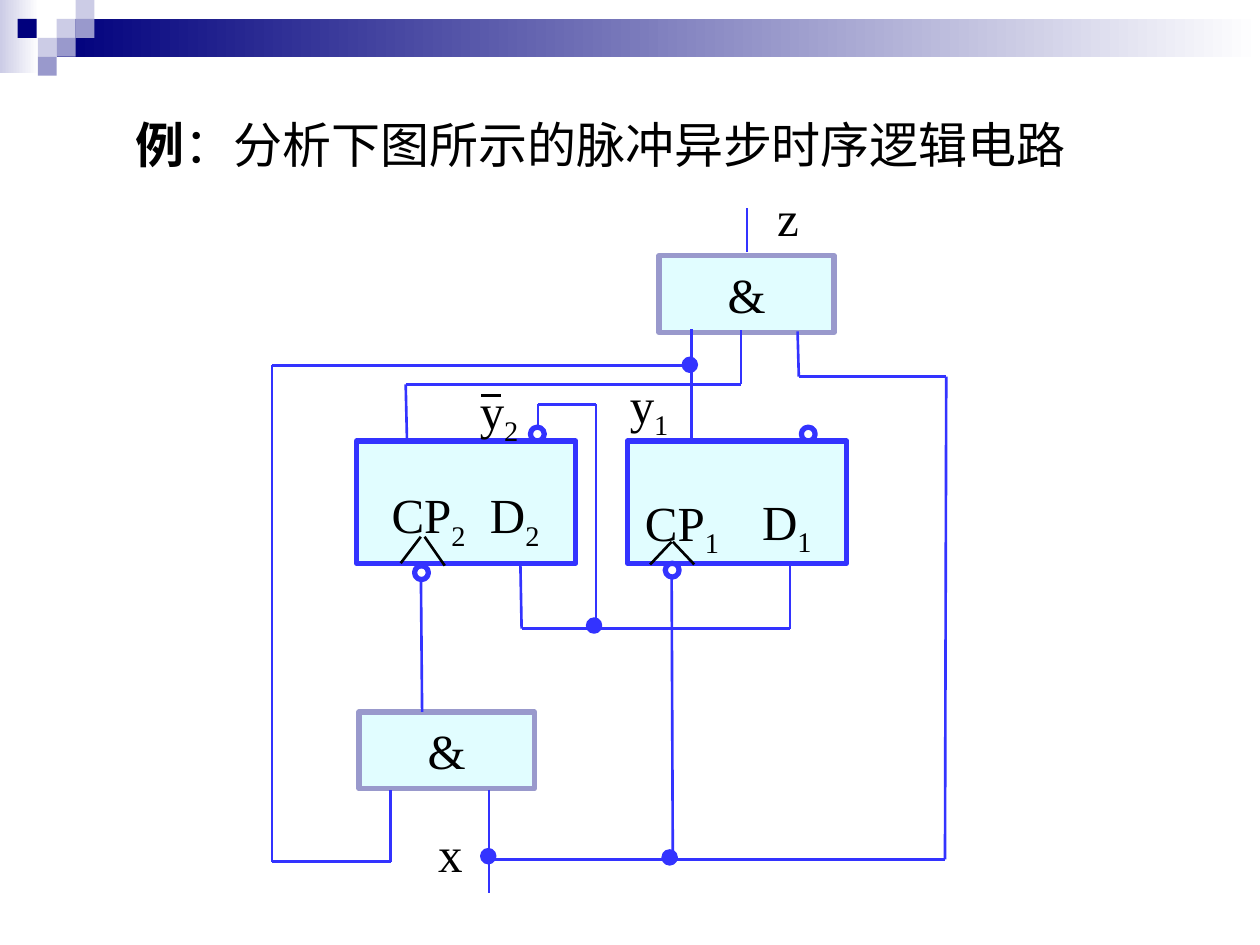
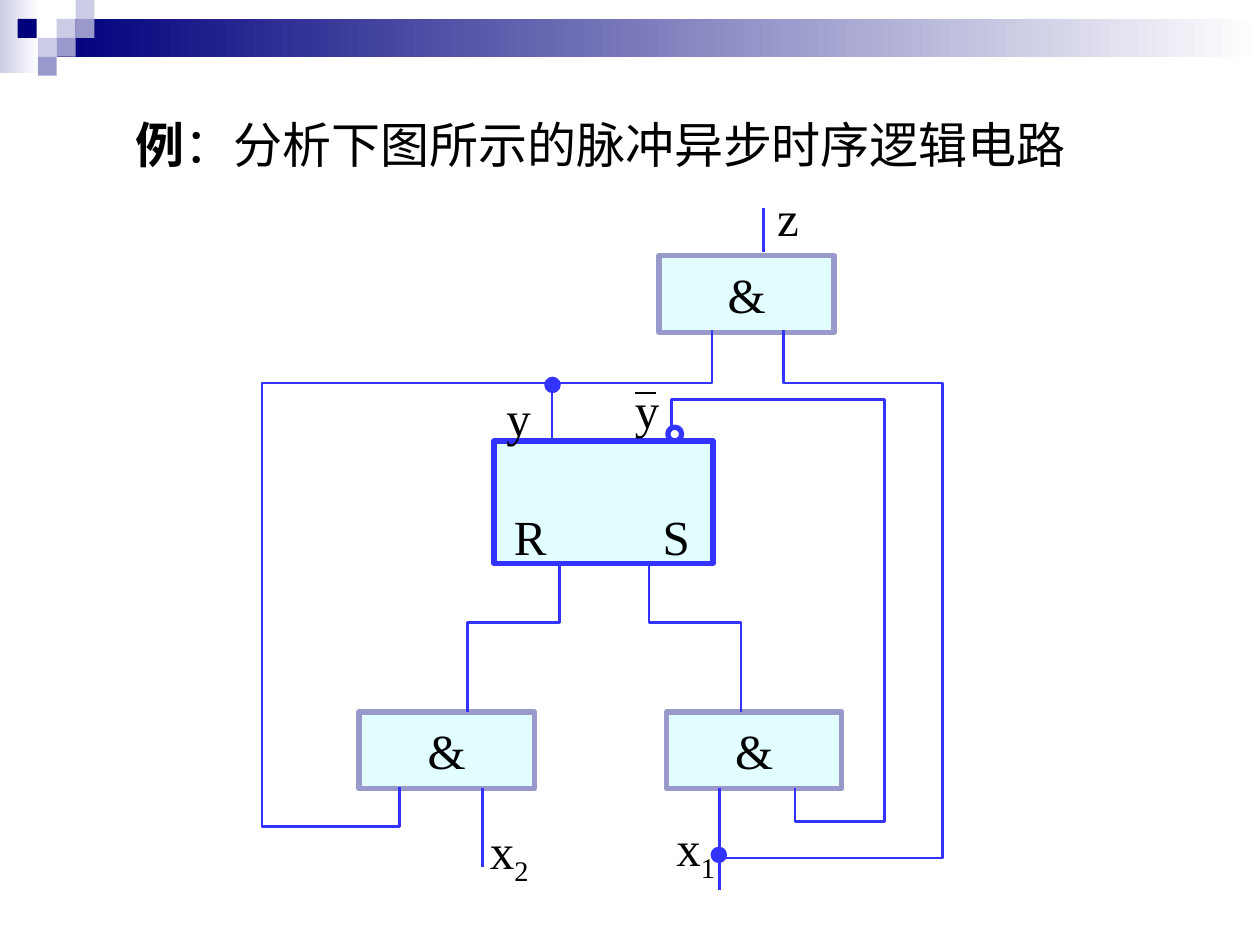
import itertools

import pptx
import pptx.dml.color
import pptx.enum.shapes
import pptx.enum.text
import pptx.oxml.ns
import pptx.util
from lxml import etree

Inches = pptx.util.Inches
RGBColor = pptx.dml.color.RGBColor
SHAPE = pptx.enum.shapes.MSO_SHAPE

BLACK = RGBColor(0x00, 0x00, 0x00)
WHITE = RGBColor(0xFF, 0xFF, 0xFF)
NAVY = RGBColor(0x00, 0x00, 0x7D)
LAVENDER = RGBColor(0x99, 0x99, 0xCC)
PALE_LAVENDER = RGBColor(0xCC, 0xCC, 0xE6)
WIRE_BLUE = RGBColor(0x33, 0x33, 0xFF)
PALE_CYAN = RGBColor(0xE1, 0xFD, 0xFF)

FONT_FORMAT = {"name": "Times New Roman", "size": pptx.util.Pt(28)}
FRAME_FORMAT = {"word_wrap": False, "auto_size": pptx.enum.text.MSO_AUTO_SIZE.SHAPE_TO_FIT_TEXT}

# Header: gradient bands and a mosaic of small squares
BANDS = [((0, 0, 0.31, 0.58), PALE_LAVENDER), ((0.45, 0.15, 9.55, 0.3), NAVY)]
SQUARE = 0.15
SQUARES = [
    (0.45, 0.15, PALE_LAVENDER), (0.6, 0, PALE_LAVENDER), (0.6, 0.15, LAVENDER),
    (0.3, 0.3, PALE_LAVENDER), (0.14, 0.15, NAVY), (0.45, 0.3, LAVENDER), (0.3, 0.45, LAVENDER),
]
TITLE = [("例", {"bold": True}), ("：分析下图所示的脉冲异步时序逻辑电路", {"bold": False})]

GATE_SIZE = (1.39, 0.61)
FLIP_FLOP_SIZE = (1.74, 0.97)
NODE = 0.11

# Labels are (left, top, width, letters, subscript)
CIRCUITS = [
    {
        "gates": [(5.23, 2.03), (2.85, 5.65)],
        "flip_flops": [(2.83, 3.5), (4.98, 3.5)],
        "traces": [],
        "wires": [
            [(5.93, 2), (5.93, 1.65)],
            [(3.88, 6.27), (3.88, 7.09)],
            [(5.49, 3.51), (5.49, 2.61)],
            [(3.34, 4.48), (3.35, 5.65)],
            [(3.86, 6.82), (5.34, 6.82), (7.5, 6.82), (7.51, 2.99), (6.34, 2.99), (6.33, 2.63)],
            [(5.34, 6.82), (5.33, 4.47)],
            [(4.27, 3.4), (4.27, 3.21), (4.73, 3.21), (4.73, 4.98)],
            [(4.13, 4.47), (4.14, 4.99), (6.27, 4.99), (6.27, 4.45)],
            [(5.48, 2.9), (2.16, 2.9), (2.16, 6.84), (3.1, 6.84), (3.1, 6.27)],
            [(3.23, 3.49), (3.22, 3.05), (5.88, 3.05), (5.88, 2.62)],
        ],
        "junctions": [(3.82, 6.74), (4.66, 4.91), (5.26, 6.75), (5.42, 2.84)],
        "inverters": [(4.21, 3.39), (6.36, 3.39), (5.28, 4.47), (3.29, 4.49)],
        "strokes": [
            [(3.82, 3.14), (3.98, 3.14)],
            [(3.34, 4.26), (3.18, 4.47)],
            [(3.37, 4.26), (3.53, 4.49)],
            [(5.33, 4.3), (5.16, 4.48)],
            [(5.34, 4.3), (5.51, 4.48)],
        ],
        "labels": [
            (6.07, 1.44, 0.37, "z", ""), (3.38, 6.49, 0.4, "x", ""),
            (3.01, 3.8, 0.81, "CP", "2"), (3.79, 3.8, 0.61, "D", "2"),
            (4.9, 2.92, 0.53, "y", "1"), (3.71, 2.97, 0.53, "y", "2"),
            (5.02, 3.86, 0.81, "CP", "1"), (5.95, 3.85, 0.61, "D", "1"),
        ],
    },
    {
        "gates": [(5.23, 2.03), (2.85, 5.65), (5.29, 5.65)],
        "flip_flops": [(3.92, 3.5)],
        "traces": [
            [(4.44, 4.48), (4.44, 4.94), (3.71, 4.94), (3.71, 5.65)],
            [(5.15, 4.48), (5.15, 4.94), (5.88, 4.94), (5.88, 5.65)],
            [(6.22, 2.62), (6.22, 3.04), (7.48, 3.04), (7.48, 6.81), (5.73, 6.81)],
            [(5.65, 2.62), (5.65, 3.04), (2.08, 3.04), (2.08, 6.56), (3.17, 6.56), (3.17, 6.25)],
            [(5.33, 3.38), (5.33, 3.17), (7.02, 3.17), (7.02, 6.52), (6.31, 6.52), (6.31, 6.25)],
        ],
        "wires": [
            [(6.06, 2), (6.06, 1.65)],
            [(5.71, 6.25), (5.71, 7.06)],
            [(4.38, 3.48), (4.38, 3.02)],
            [(3.83, 6.25), (3.83, 6.88)],
        ],
        "junctions": [(5.65, 6.73), (4.33, 3)],
        "inverters": [(5.3, 3.39)],
        "strokes": [[(5.04, 3.12), (5.21, 3.12)]],
        "labels": [
            (6.07, 1.44, 0.37, "z", ""), (3.79, 6.46, 0.53, "x", "2"),
            (5.27, 6.44, 0.53, "x", "1"), (3.98, 3.97, 0.46, "R", ""),
            (5.16, 3.97, 0.42, "S", ""), (3.92, 3.03, 0.4, "y", ""),
            (4.94, 2.96, 0.4, "y", ""),
        ],
    },
]


def add_block(slide, kind, box, fill, line=None, width=0):
    shape = slide.shapes.add_shape(kind, *map(Inches, box))
    shape.shadow.inherit = False
    shape.fill.solid()
    shape.fill.fore_color.rgb = fill
    if line is None:
        shape.line.fill.background()
    else:
        shape.line.color.rgb = line
        shape.line.width = pptx.util.Pt(width)
    return shape


def write(shape, pieces):
    """Fill the shape with runs given as (text, font formats); "subscript" lowers a run."""
    for name, value in FRAME_FORMAT.items():
        setattr(shape.text_frame, name, value)
    paragraph = shape.text_frame.paragraphs[0]
    for text, formats in pieces:
        run = paragraph.add_run()
        run.text = text
        run.font.color.rgb = BLACK
        for name, value in {**FONT_FORMAT, **formats}.items():
            if name == "subscript":
                run._r.get_or_add_rPr().set("baseline", "-25000")
            else:
                setattr(run.font, name, value)
    return paragraph


presentation = pptx.Presentation()
presentation.slide_width = Inches(10)
presentation.slide_height = Inches(7.5)

for circuit in CIRCUITS:
    slide = presentation.slides.add_slide(presentation.slide_layouts[6])

    for box, start_color in BANDS:
        band = add_block(slide, SHAPE.RECTANGLE, box, start_color)
        band.fill.gradient()
        band.fill.gradient_angle = 0
        for stop, color in zip(band.fill.gradient_stops, (start_color, WHITE)):
            stop.color.rgb = color
    for left, top, color in SQUARES:
        add_block(slide, SHAPE.RECTANGLE, (left, top, SQUARE, SQUARE), color)
    write(slide.shapes.add_textbox(*map(Inches, (0.98, 0.86, 7.58, 0.57))), TITLE)

    for corner in circuit["flip_flops"]:
        add_block(slide, SHAPE.RECTANGLE, corner + FLIP_FLOP_SIZE, PALE_CYAN, WIRE_BLUE, 3)
    for corner in circuit["gates"]:
        gate = add_block(slide, SHAPE.RECTANGLE, corner + GATE_SIZE, PALE_CYAN, LAVENDER, 3)
        write(gate, [("&", {})]).alignment = pptx.enum.text.PP_ALIGN.CENTER
        gate.text_frame.word_wrap = True

    for trace in circuit["traces"]:
        points = [(Inches(x), Inches(y)) for x, y in trace]
        builder = slide.shapes.build_freeform(*points[0])
        builder.add_line_segments(points[1:], close=False)
        outline = builder.convert_to_shape()
        outline.shadow.inherit = False
        outline.fill.background()
        outline.line.color.rgb = WIRE_BLUE
        outline.line.width = pptx.util.Pt(1.5)

    for group, color in (("wires", WIRE_BLUE), ("strokes", BLACK)):
        for route in circuit[group]:
            for start, end in itertools.pairwise(route):
                connector = slide.shapes.add_connector(
                    pptx.enum.shapes.MSO_CONNECTOR.STRAIGHT, *map(Inches, start + end))
                connector.line.color.rgb = color
                connector.line.width = pptx.util.Pt(1.5)
                properties = connector.element.spPr
                etree.SubElement(properties, pptx.oxml.ns.qn("a:effectLst"))

    for group, fill, width in (("junctions", WIRE_BLUE, 1.5), ("inverters", WHITE, 3)):
        for corner in circuit[group]:
            add_block(slide, SHAPE.OVAL, corner + (NODE, NODE), fill, WIRE_BLUE, width)

    for left, top, width, letters, subscript in circuit["labels"]:
        pieces = [(letters, {})]
        if subscript:
            pieces.append((subscript, {"subscript": True}))
        write(slide.shapes.add_textbox(*map(Inches, (left, top, width, 0.57))), pieces)

presentation.save("out.pptx")
